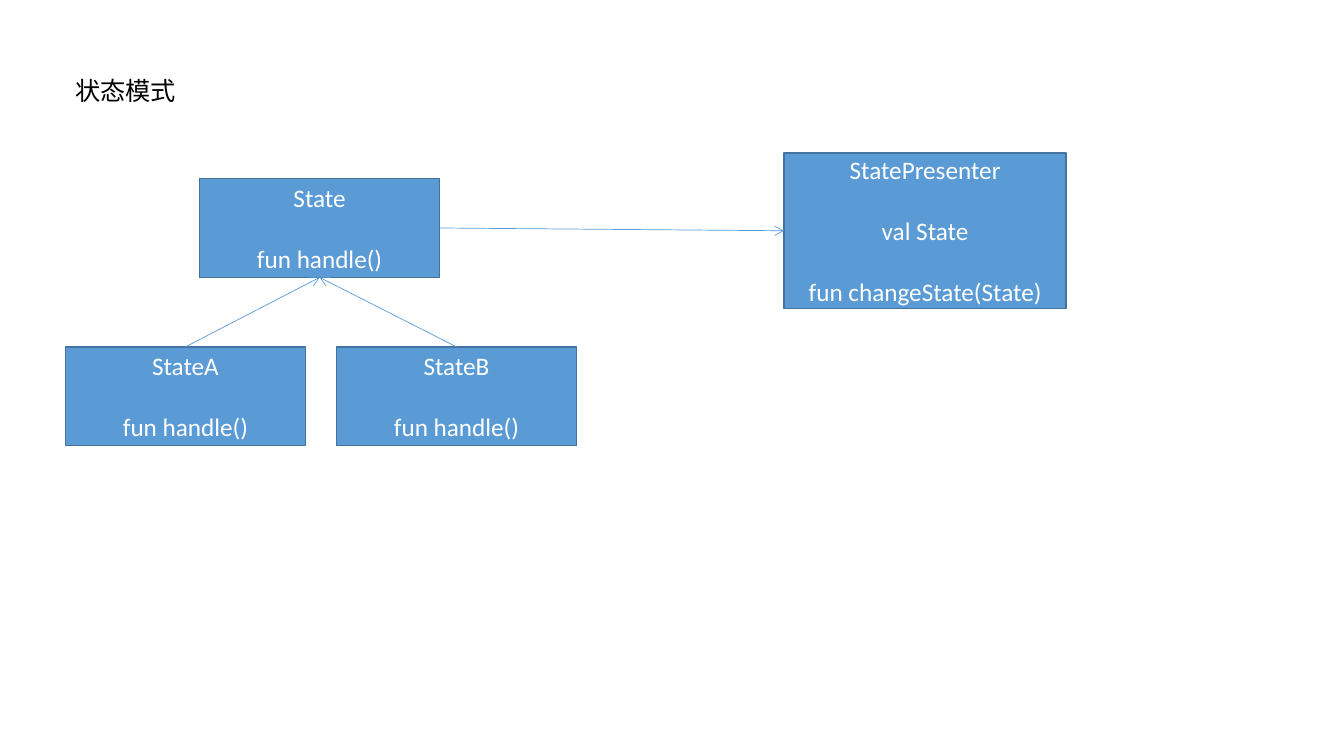
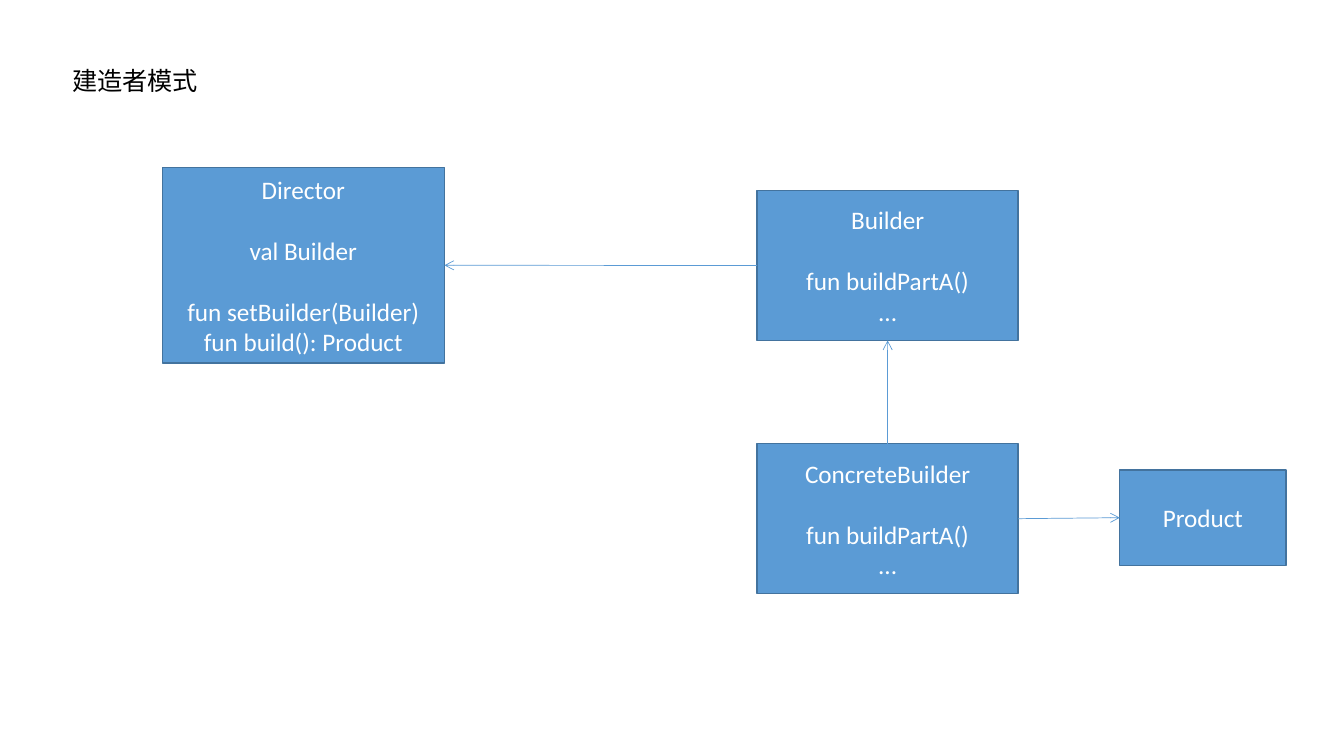
from lxml.etree import SubElement
from pptx import Presentation
from pptx.dml.color import RGBColor
from pptx.enum.shapes import MSO_CONNECTOR as Connector, MSO_SHAPE as Shape
from pptx.enum.text import MSO_ANCHOR as Anchor, MSO_AUTO_SIZE as AutoSize, PP_ALIGN as Align
from pptx.oxml.ns import qn
from pptx.util import Cm, Pt

# Content: each class has a box (left, top, width, height in cm) and groups of lines
DIAGRAMS = [
    {
        "title": ("状态模式", (1.65, 1.78, 3.05, 1.02)),
        "classes": {
            "State": ((5.03, 4.5, 6.05, 2.49), [["State"], ["fun handle()"]]),
            "StateA": ((1.65, 8.74, 6.05, 2.49), [["StateA"], ["fun handle()"]]),
            "StateB": ((8.48, 8.74, 6.05, 2.49), [["StateB"], ["fun handle()"]]),
            "StatePresenter": ((19.76, 3.86, 7.11, 3.91),
                               [["StatePresenter"], ["val State"], ["fun changeState(State)"]]),
        },
        "arrows": [
            ("StateA", "top", "State", "bottom"),
            ("StateB", "top", "State", "bottom"),
            ("State", "right", "StatePresenter", "left"),
        ],
    },
    {
        "title": ("建造者模式", (1.57, 1.52, 3.68, 1.02)),
        "classes": {
            "Director": ((4.09, 4.22, 7.11, 4.93),
                         [["Director"], ["val Builder"],
                          ["fun setBuilder(Builder)", "fun build(): Product"]]),
            "Builder": ((19.08, 4.8, 6.58, 3.78), [["Builder"], ["fun buildPartA()", "..."]]),
            "ConcreteBuilder": ((19.08, 11.18, 6.58, 3.78),
                                [["ConcreteBuilder"], ["fun buildPartA()", "..."]]),
            "Product": ((28.22, 11.84, 4.19, 2.41), [["Product"]]),
        },
        "arrows": [
            ("Builder", "left", "Director", "right"),
            ("ConcreteBuilder", "top", "Builder", "bottom"),
            ("ConcreteBuilder", "right", "Product", "left"),
        ],
    },
]

# Shared style
COLORS = {"title": "000000", "box": "5B9BD5", "border": "43739E", "label": "FFFFFF", "arrow": "5B9BD5"}
FONT, TEXT_SIZE, GROUP_GAP = "Calibri", Pt(18), Pt(22)
SITES = {"top": 0, "left": 1, "bottom": 2, "right": 3}


def color(name):
    return RGBColor.from_string(COLORS[name])


def style_text(paragraph, color_name):
    font = paragraph.font
    font.name, font.size = FONT, TEXT_SIZE
    font.color.rgb = color(color_name)


def add_title(slide, text, box):
    frame = slide.shapes.add_textbox(*map(Cm, box)).text_frame
    frame.word_wrap = False
    frame.auto_size = AutoSize.SHAPE_TO_FIT_TEXT
    frame.text = text
    style_text(frame.paragraphs[0], "title")


def add_class(slide, box, groups):
    rect = slide.shapes.add_shape(Shape.RECTANGLE, *map(Cm, box))
    rect.shadow.inherit = False
    rect.fill.solid()
    rect.fill.fore_color.rgb = color("box")
    rect.line.color.rgb = color("border")
    rect.line.width = Pt(1)
    frame = rect.text_frame
    frame.word_wrap = True
    frame.vertical_anchor = Anchor.MIDDLE
    frame.text = "\n".join(line for group in groups for line in group)
    # A gap of one line sets each group apart from the one above
    starts = [i == 0 for group in groups for i in range(len(group))]
    for number, (paragraph, starts_group) in enumerate(zip(frame.paragraphs, starts)):
        paragraph.alignment = Align.CENTER
        style_text(paragraph, "label")
        if starts_group and number:
            paragraph.space_before = GROUP_GAP
    return rect


def add_arrow(slide, source, source_side, target, target_side):
    arrow = slide.shapes.add_connector(Connector.STRAIGHT, 0, 0, 0, 0)
    arrow.begin_connect(source, SITES[source_side])
    arrow.end_connect(target, SITES[target_side])
    arrow.line.color.rgb = color("arrow")
    arrow.line.width = Pt(0.5)
    SubElement(arrow.line._get_or_add_ln(), qn("a:tailEnd"), type="arrow")
    SubElement(arrow._element.spPr, qn("a:effectLst"))


# Build the slides
prs = Presentation()
prs.slide_width, prs.slide_height = Cm(33.87), Cm(19.05)
for diagram in DIAGRAMS:
    slide = prs.slides.add_slide(prs.slide_layouts[6])
    add_title(slide, *diagram["title"])
    classes = {name: add_class(slide, *details) for name, details in diagram["classes"].items()}
    for source, source_side, target, target_side in diagram["arrows"]:
        add_arrow(slide, classes[source], source_side, classes[target], target_side)

prs.save("out.pptx")
